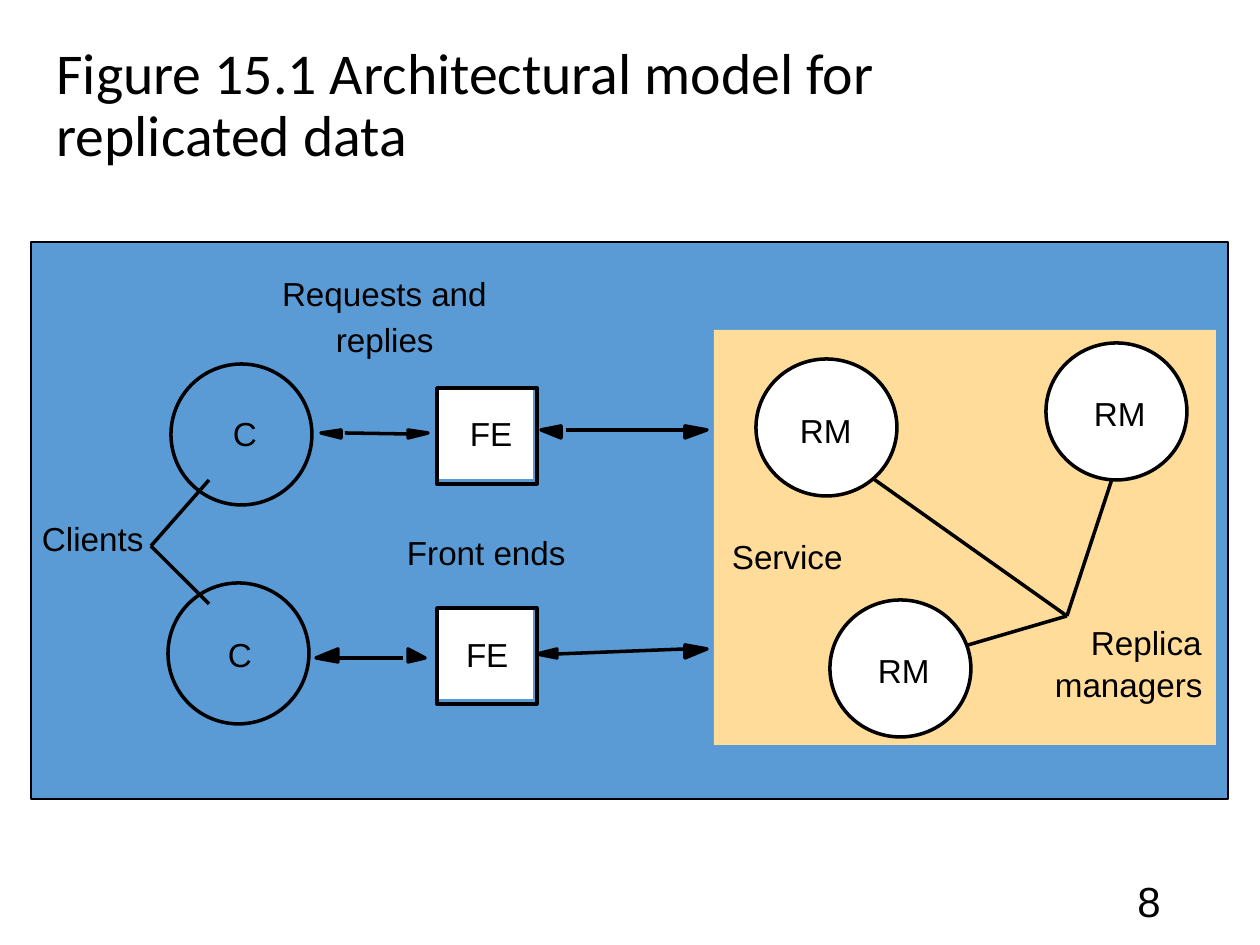
from lxml import etree
from pptx import Presentation
from pptx import util as u
from pptx.dml.color import RGBColor
from pptx.enum import shapes, text
from pptx.oxml.ns import qn

PX = 914400 // 126
COLORS = {"black": "000000", "white": "FFFFFF", "panel": "5B9BD5", "service": "FFDC99"}
OVAL, RECT = shapes.MSO_SHAPE.OVAL, shapes.MSO_SHAPE.RECTANGLE

prs = Presentation()
prs.slide_width, prs.slide_height = 1260 * PX, 945 * PX
s = prs.slides.add_slide(prs.slide_layouts[6])


def style(sp, fill=None, line=2):
    sp.shadow.inherit = False
    if fill:
        sp.fill.solid()
        sp.fill.fore_color.rgb = RGBColor.from_string(COLORS[fill])
    else:
        sp.fill.background()
    if line:
        sp.line.color.rgb = RGBColor.from_string(COLORS["black"])
        sp.line.width = u.Pt(line)
    else:
        sp.line.fill.background()


def add_text(words, x, y, w, h, size=19, font="Arial"):
    tf = s.shapes.add_textbox(x * PX, y * PX, w * PX, h * PX).text_frame
    tf.text = words
    r = tf.paragraphs[0].runs[0]
    r.font.size, r.font.name = u.Pt(size), font
    r.font.color.rgb = RGBColor.from_string(COLORS["black"])
    return tf


# Title and slide number
tf = add_text("Figure 15.1 Architectural model for replicated data", 44, 8, 1007, 198, 33, "Calibri")
tf.paragraphs[0].line_spacing = 0.9
number = add_text("8", 890, 876, 283, 50, 24)
number.paragraphs[0].alignment = text.PP_ALIGN.RIGHT
for frame in (tf, number):
    frame.word_wrap = True
    frame.vertical_anchor = text.MSO_ANCHOR.MIDDLE

# Panel, service area, front ends and clients
boxes = [(RECT, 31, 242, 1197, 557, "panel", 0.75),
         (RECT, 714, 330, 502, 415, "service", None)]
for y in (388, 608):
    boxes += [(RECT, 437, y, 96, 91, "white", None), (RECT, 437, y, 100, 96, None, 2)]
boxes += [(OVAL, x, y, 141, 141, None, 2) for x, y in ((171, 364), (168, 583))]
for kind, x, y, w, h, fill, line in boxes:
    style(s.shapes.add_shape(kind, x * PX, y * PX, w * PX, h * PX), fill, line)

# Leader lines and arrow shafts
clients, managers = (151, 546), (1067, 616)
lines = [(clients, (209, 480)), (clients, (209, 604)),
         (managers, (1116, 467)), (managers, (868, 475)), (managers, (968, 645)),
         ((566, 430), (685, 430)), ((557, 654), (685, 649)),
         ((345, 433), (408, 434)), ((338, 658), (403, 658))]
for (x1, y1), (x2, y2) in lines:
    c = s.shapes.add_connector(shapes.MSO_CONNECTOR.STRAIGHT, x1 * PX, y1 * PX, x2 * PX, y2 * PX)
    c.line.color.rgb = RGBColor.from_string(COLORS["black"])
    c.line.width = u.Pt(2)
    etree.SubElement(c._element.spPr, qn("a:effectLst"))

# Arrowheads: tip x, tip y, base x, base top, base bottom
heads = [(541, 430, 561, 426, 438), (707, 430, 685, 426, 438),
         (537, 654, 557, 649, 658), (707, 649, 685, 645, 658),
         (321, 433, 341, 430, 438), (428, 433, 408, 430, 438),
         (316, 658, 338, 649, 662), (425, 658, 408, 649, 662)]
for tip_x, tip_y, base, top, bottom in heads:
    fb = s.shapes.build_freeform(base, top, scale=PX)
    fb.add_line_segments([(tip_x, tip_y), (base, bottom)], close=True)
    style(fb.convert_to_shape(), "black")

# Replica managers
for x, y in ((756, 359), (830, 600), (1046, 343)):
    style(s.shapes.add_shape(OVAL, x * PX, y * PX, 141 * PX, 137 * PX), "white")

# Labels
labels = [("Requests and", 282, 273, 205), ("replies", 336, 319, 98),
          ("C", 233, 413, 24), ("C", 228, 634, 24),
          ("FE", 470, 413, 43), ("FE", 466, 634, 43),
          ("Clients", 42, 518, 102), ("Front ends", 407, 532, 160),
          ("Service", 732, 536, 111), ("Replica", 1091, 622, 111),
          ("managers", 1055, 664, 149),
          ("RM", 800, 410, 52), ("RM", 878, 650, 52), ("RM", 1094, 393, 52)]
for words, x, y, w in labels:
    tf = add_text(words, x, y, w, 40)
    tf.margin_left = tf.margin_right = tf.margin_top = tf.margin_bottom = 0
    tf.word_wrap = False
    tf.auto_size = text.MSO_AUTO_SIZE.SHAPE_TO_FIT_TEXT

prs.save("out.pptx")
